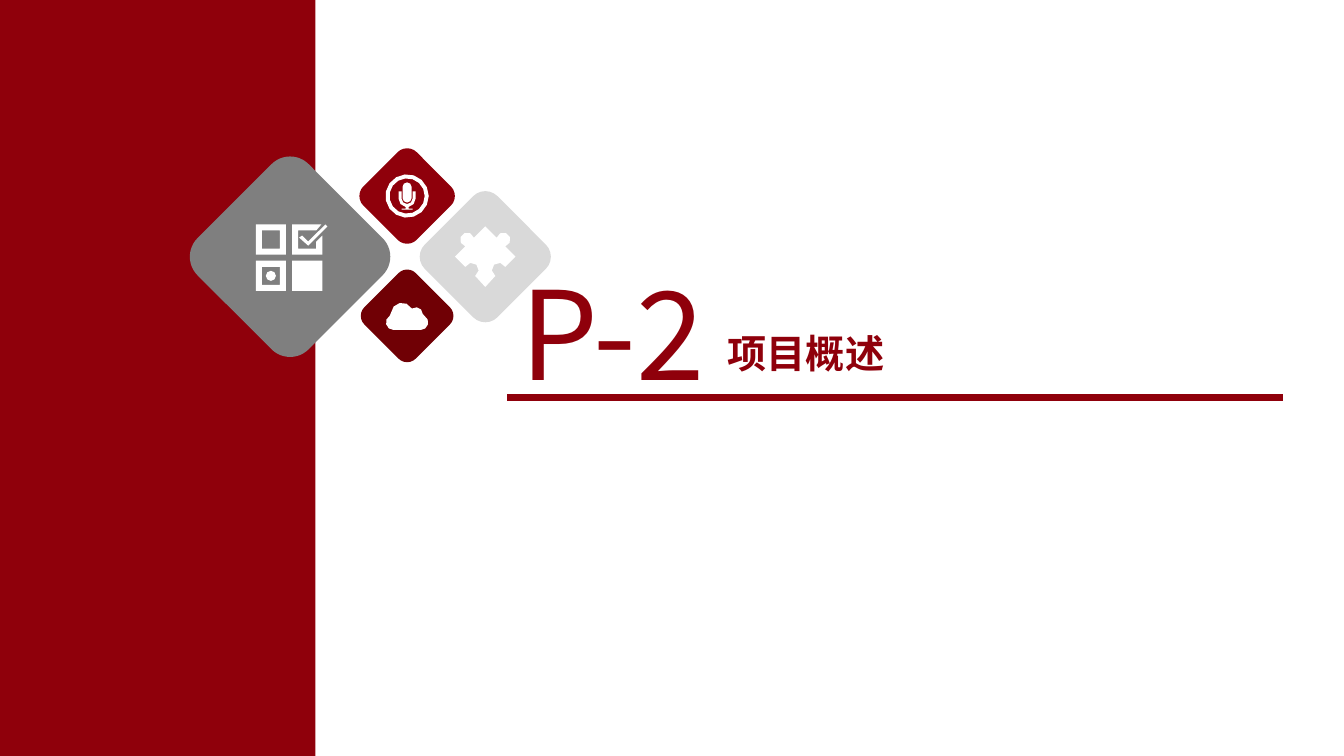
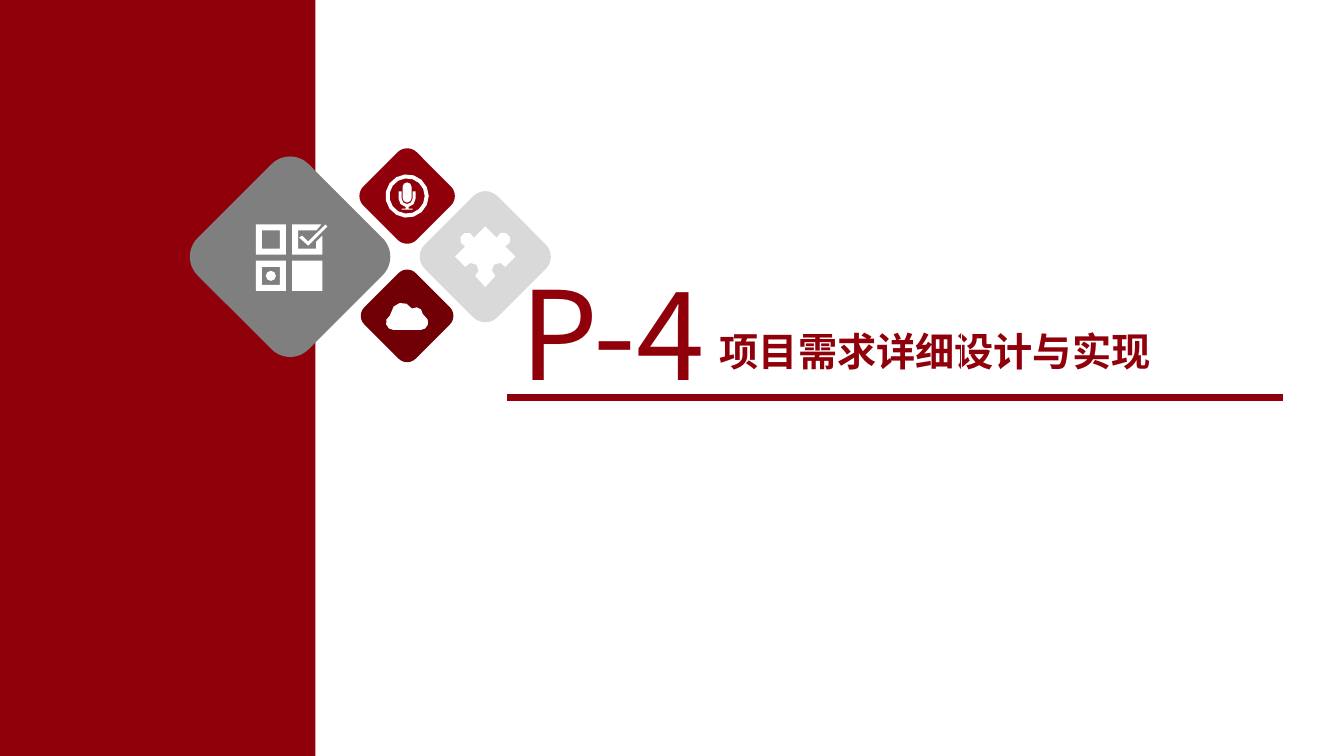
from math import cos, radians, sin

from lxml.etree import SubElement
from pptx import Presentation
from pptx.dml.color import RGBColor
from pptx.enum.shapes import MSO_CONNECTOR, MSO_SHAPE
from pptx.enum.text import MSO_AUTO_SIZE, PP_ALIGN
from pptx.oxml.ns import qn
from pptx.util import Cm, Pt

RED = RGBColor(0x8F, 0x00, 0x0B)
DARK = RGBColor(0x70, 0x00, 0x05)
GREY = RGBColor(0x7F, 0x7F, 0x7F)
PALE = RGBColor(0xD9, 0xD9, 0xD9)
WHITE = RGBColor(0xFF, 0xFF, 0xFF)
FONT = "Noto Sans CJK SC"
UNIT = Cm(0.0254)
FINE = 100


def arc(x, y, r, start, end, step=36):
    """Return points along an arc, in degrees clockwise from the right."""
    count = max(1, round(abs(end - start) / step))
    turns = [radians(start + (end - start) * i / count) for i in range(count + 1)]
    return [(x + r * cos(t), y + r * sin(t)) for t in turns]


def ring(x, y, r, step):
    """Return a full circle."""
    return arc(x, y, r, 0, 360, step)[:-1]


def box(x, y, side):
    """Return a square."""
    return [(x, y), (x + side, y), (x + side, y + side), (x, y + side)]


def grid():
    """Return the outlines of the four check boxes."""
    check = [(2, -32), (31, -32), (26, -26), (8, -26), (8, -8), (26, -8),
             (26, -15), (32, -21), (32, -2), (2, -2)]
    tick = [(35, -32), (37, -30), (18, -11), (9, -19), (12, -21), (18, -15)]
    return [box(-34, -32, 30), box(-28, -26, 18), box(-34, 4, 30),
            box(-28, 10, 18), ring(-19, 19, 5, 45), box(2, 4, 30), check, tick]


def mic():
    """Return the outlines of a microphone in a ring."""
    head = arc(0, -9, 4.5, 180, 360, 45) + arc(0, 2, 4.5, 0, 180, 45)
    stand = [(-8.5, -4.5), (-5.5, -4.5), *arc(0, 2.5, 5.5, 180, 0, 45),
             (5.5, -4.5), (8.5, -4.5), *arc(0, 2.5, 8.5, 0, 80, 40),
             (1.5, 12.5), (5.5, 12.5), (5.5, 13.5), (-5.5, 13.5),
             (-5.5, 12.5), (-1.5, 12.5), *arc(0, 2.5, 8.5, 100, 180, 40)]
    return [ring(0, 0, 21.5, 24), ring(0, 0, 17.5, 24), head, stand]


def puzzle():
    """Return the outline of a jigsaw piece, mirrored about its axis."""
    half = [(0, -30), *arc(18, -17, 7, 195, 435, 48), (30, 0),
            *arc(13.5, 13, 7, 335, 120, 48), (0, 30)]
    return [half + [(-x, y) for x, y in half[-2:0:-1]]]


def cloud():
    """Return the outline of a cloud."""
    return [arc(-5, -2, 11, 185, 330) + arc(9, -2, 6.5, 235, 360)
            + arc(13.5, 6.5, 7.5, -60, 90) + arc(-13.5, 6.5, 7.5, 90, 240)]


TILES = [
    (2.51, 2.77, 3.96, GREY, None, grid()),
    (5.46, 1.24, 1.83, RED, RED, mic()),
    (7.43, 2.77, 2.59, PALE, None, puzzle()),
    (5.46, 4.26, 1.83, DARK, None, cloud()),
]


def paint(shape, fill, line=None):
    """Set a flat fill and an optional outline."""
    shape.shadow.inherit = False
    shape.fill.solid()
    shape.fill.fore_color.rgb = fill
    if line is None:
        shape.line.fill.background()
    else:
        shape.line.color.rgb = line
        shape.line.width = Pt(2)


def icon(shapes, x, y, paths):
    """Draw closed outlines about a centre as one white shape."""
    pen = None
    for path in paths:
        dots = [(a * FINE, b * FINE) for a, b in path]
        if pen is None:
            pen = shapes.build_freeform(*dots[0], scale=UNIT / FINE)
        else:
            pen.move_to(*dots[0])
        pen.add_line_segments(dots[1:], close=True)
    paint(pen.convert_to_shape(Cm(x), Cm(y)), WHITE)


def tile(shapes, x, y, size, fill, line, paths):
    """Draw a rounded diamond with its icon about a centre."""
    shape = shapes.add_shape(MSO_SHAPE.ROUNDED_RECTANGLE, Cm(x - size / 2),
                             Cm(y - size / 2), Cm(size), Cm(size))
    shape.rotation = 45
    shape.adjustments[0] = 0.167
    paint(shape, fill, line)
    icon(shapes, x, y, paths)


def emblem(slide, left, top):
    """Group the four tiles from a top left corner."""
    shapes = slide.shapes.add_group_shape().shapes
    for x, y, *rest in TILES:
        tile(shapes, left + x, top + y, *rest)


def rule(slide, x1, y1, x2, y2, color, width):
    """Draw a straight line."""
    line = slide.shapes.add_connector(MSO_CONNECTOR.STRAIGHT, Cm(x1), Cm(y1),
                                      Cm(x2), Cm(y2))
    line.line.color.rgb = color
    line.line.width = Pt(width)
    SubElement(line._element.spPr, qn("a:effectLst"))


def write(slide, text, left, top, width, height, *, size, align, bold=False, pad=(0, 0)):
    """Place one line of red text."""
    label = slide.shapes.add_textbox(Cm(left), Cm(top), Cm(width), Cm(height))
    frame = label.text_frame
    frame.word_wrap = True
    frame.auto_size = MSO_AUTO_SIZE.SHAPE_TO_FIT_TEXT
    frame.margin_left = frame.margin_right = Cm(pad[0])
    frame.margin_top = frame.margin_bottom = Cm(pad[1])
    para = frame.paragraphs[0]
    para.alignment = align
    run = para.add_run()
    run.text = text
    run.font.size = Pt(size)
    run.font.bold = bold
    run.font.name = FONT
    run.font.color.rgb = RED
    SubElement(run._r.get_or_add_rPr(), qn("a:ea"), typeface=FONT)


def heading(slide, left, top, number, title, dx, dy, height):
    """Write the number and title above a rule, from a top left corner."""
    base = top + 3.66
    write(slide, number, left, top, 6.2, 4.01, size=88,
          align=PP_ALIGN.CENTER, pad=(0.25, 0.13))
    write(slide, title, left + dx, top + dy, 14, height, size=28,
          align=PP_ALIGN.JUSTIFY, bold=True)
    rule(slide, left + 11.9, base - 1.6, left + 11.9, base, WHITE, 0.5)
    rule(slide, left + 0.45, base, left + 20, base, RED, 4.5)


def section(deck, *words):
    """Add one section slide."""
    slide = deck.slides.add_slide(deck.slide_layouts[6])
    band = slide.shapes.add_shape(MSO_SHAPE.RECTANGLE, 0, 0, Cm(7.95),
                                  deck.slide_height)
    paint(band, RED)
    emblem(slide, 4.8, 3.7)
    heading(slide, 12.33, 6.36, *words)


def main():
    """Build and save the deck."""
    deck = Presentation()
    deck.slide_width, deck.slide_height = Cm(33.87), Cm(19.05)
    section(deck, "P-2", "项目概述", 6.01, 1.95, 2.39)
    section(deck, "P-4", "项目需求详细设计与实现", 5.81, 1.89, 1.19)
    deck.save("out.pptx")


if __name__ == "__main__":
    main()
